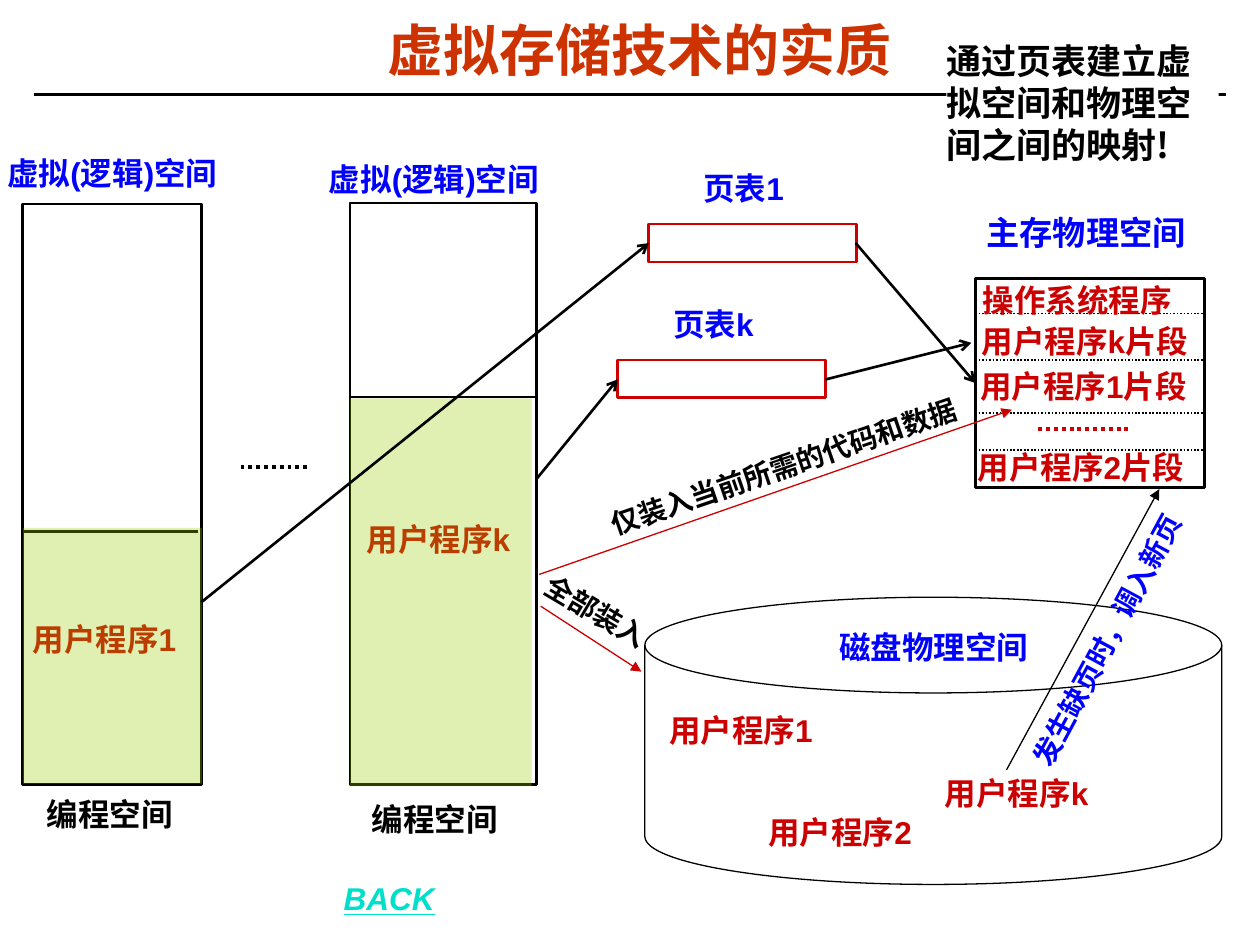
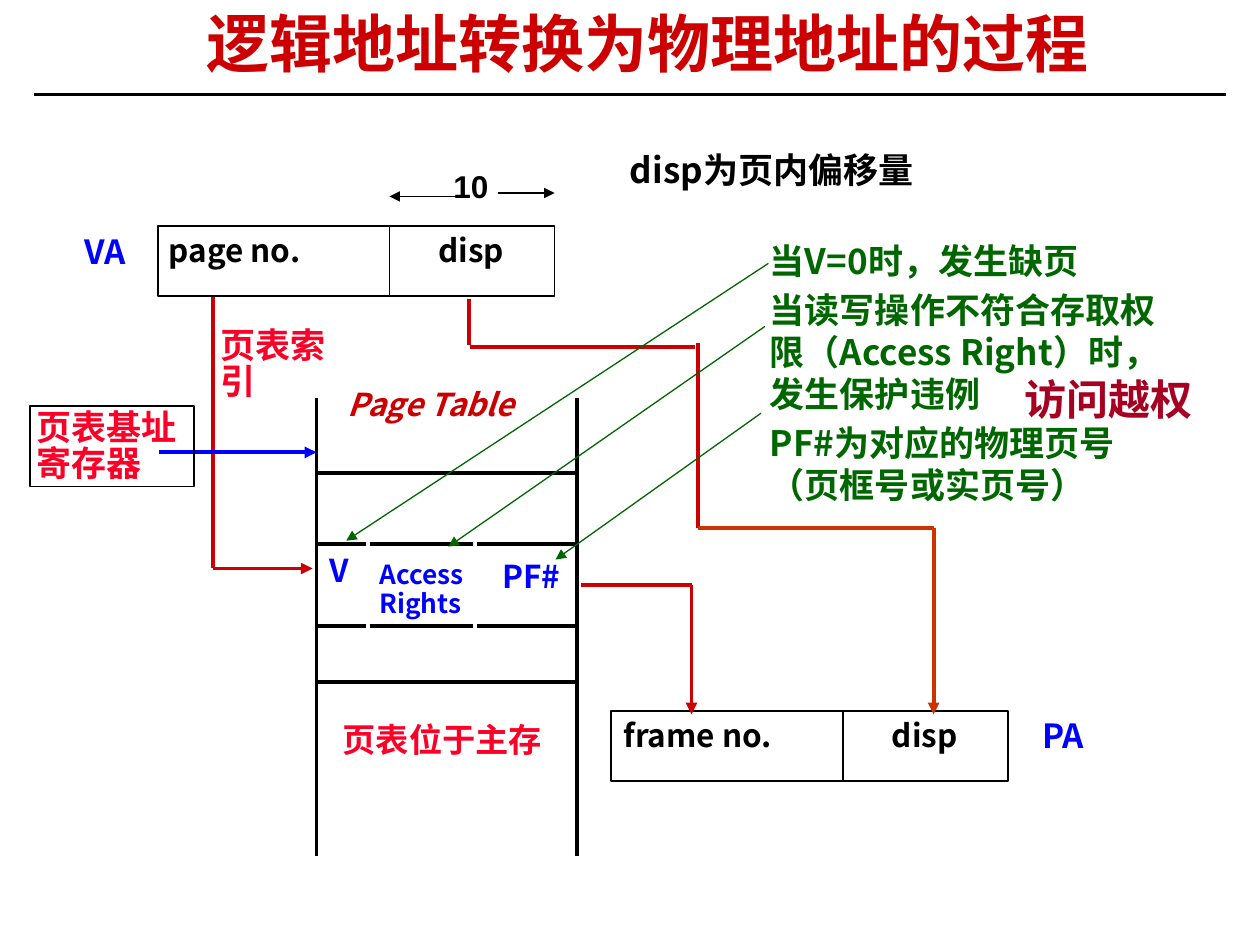
from lxml.etree import SubElement
from pptx import Presentation
from pptx.dml.color import RGBColor
from pptx.enum.dml import MSO_LINE
from pptx.enum.shapes import MSO_CONNECTOR, MSO_SHAPE
from pptx.enum.text import MSO_ANCHOR, MSO_AUTO_SIZE, PP_ALIGN
from pptx.oxml.ns import qn
from pptx.util import Cm, Pt

color = RGBColor.from_string
BLACK, WHITE, BLUE = "000000", "FFFFFF", "0000FF"
RED, BRIGHT_RED, ORANGE = "CC0000", "FC0128", "CC3300"
GREEN, LIME, CRIMSON, TURQUOISE = "006600", "99CC00", "A50021", "00DFCA"
LATIN, CHINESE = "Arial", "Noto Sans CJK SC"


def add_text(slide, text, left, top, width, ink=BLACK, size=18, font=LATIN,
             height=0.76, align=PP_ALIGN.LEFT, spacing=1.0, gap=0, turn=0,
             italic=False, underline=False, inset=0, fill=None, border=None):
    box = slide.shapes.add_textbox(Cm(left), Cm(top), Cm(width), Cm(height))
    box.rotation = turn
    if fill:
        box.fill.solid()
        box.fill.fore_color.rgb = color(fill)
    if border:
        box.line.color.rgb = color(border)
        box.line.width = Pt(1)
    frame = box.text_frame
    frame.word_wrap = True
    frame.margin_left = frame.margin_right = Cm(inset)
    frame.margin_top = frame.margin_bottom = Cm(inset)
    frame.text = text
    for index, para in enumerate(frame.paragraphs):
        para.alignment = align
        para.line_spacing = spacing
        para.space_before = Pt(gap if index else 0)
        para.font.name = font
        para.font.size = Pt(size)
        para.font.bold = True
        para.font.italic = italic
        para.font.underline = underline
        para.font.color.rgb = color(ink)


def add_line(slide, x1, y1, x2, y2, ink=BLACK, width=1.5, head=None, dotted=False):
    line = slide.shapes.add_connector(MSO_CONNECTOR.STRAIGHT,
                                      Cm(x1), Cm(y1), Cm(x2), Cm(y2))
    line.line.color.rgb = color(ink)
    line.line.width = Pt(width)
    if dotted:
        line.line.dash_style = MSO_LINE.ROUND_DOT
    properties = line._element.spPr
    if head:
        SubElement(properties.find(qn("a:ln")), qn("a:tailEnd"), type=head)
    SubElement(properties, qn("a:effectLst"))


# Deck, with the title and rule that both slides share
deck = Presentation()
deck.slide_width, deck.slide_height = Cm(25.4), Cm(19.05)
slides = []
for text, left, top, width, size, ink in [
    ("虚拟存储技术的实质", 0.66, 0.36, 24.46, 32, ORANGE),
    ("逻辑地址转换为物理地址的过程", 3.48, 0.23, 19.13, 36, RED),
]:
    slide = deck.slides.add_slide(deck.slide_layouts[5])
    add_line(slide, 0.69, 1.9, 24.71, 1.9)
    title = slide.shapes.title
    title.left, title.top, title.width, title.height = Cm(left), Cm(top), Cm(width), Cm(1.47)
    title.text_frame.text = text
    title.text_frame.auto_size = MSO_AUTO_SIZE.NONE
    title.text_frame.vertical_anchor = MSO_ANCHOR.MIDDLE
    para = title.text_frame.paragraphs[0]
    para.alignment = PP_ALIGN.CENTER
    para.line_spacing = 0.87
    para.font.name = LATIN
    para.font.size = Pt(size)
    para.font.bold = True
    para.font.color.rgb = color(ink)
    slides.append(slide)
memory_slide, address_slide = slides

# Slide 1: virtual spaces, disk, main memory and page tables
for preset, left, top, width, height, ink, weight in [
    (MSO_SHAPE.RECTANGLE, 7.06, 4.09, 3.76, 11.73, BLACK, 1.5),
    (MSO_SHAPE.RECTANGLE, 0.46, 4.11, 3.61, 11.71, BLACK, 1.5),
    (MSO_SHAPE.FLOWCHART_MAGNETIC_DISK, 13, 12.04, 11.63, 5.79, BLACK, 0.75),
    (MSO_SHAPE.RECTANGLE, 19.66, 5.61, 4.62, 4.22, BLACK, 1.5),
    (MSO_SHAPE.RECTANGLE, 13.08, 4.52, 4.19, 0.76, RED, 1.5),
    (MSO_SHAPE.RECTANGLE, 12.45, 7.26, 4.19, 0.76, RED, 1.5),
]:
    box = memory_slide.shapes.add_shape(preset, Cm(left), Cm(top), Cm(width), Cm(height))
    box.shadow.inherit = False
    box.fill.solid()
    box.fill.fore_color.rgb = color(WHITE)
    box.line.color.rgb = color(ink)
    box.line.width = Pt(weight)

# Dividers and dotted ellipses
add_line(memory_slide, 0.43, 10.72, 3.99, 10.72)
add_line(memory_slide, 7.06, 8, 10.8, 8)
add_line(memory_slide, 4.85, 9.42, 6.2, 9.42, width=2.25, dotted=True)
for y in (6.32, 7.26, 8.33, 9.07):
    add_line(memory_slide, 19.66, y, 24.26, y, width=1, dotted=True)
add_line(memory_slide, 20.93, 8.64, 22.78, 8.64, RED, 2.25, dotted=True)

# Labels
for text, left, top, width, ink in [
    ("编程空间", 7.49, 16.13, 3.12, BLACK),
    ("编程空间", 0.94, 16.03, 3.12, BLACK),
    ("虚拟(逻辑)空间", 0.15, 3.1, 5.1, BLUE),
    ("虚拟(逻辑)空间", 6.63, 3.23, 5.1, BLUE),
    ("用户程序1", 0.66, 12.5, 2.97, RED),
    ("用户程序k", 7.39, 10.49, 2.97, RED),
    ("磁盘物理空间", 16.92, 12.67, 4, BLUE),
    ("用户程序1", 13.49, 14.33, 2.97, RED),
    ("用户程序k", 19.05, 15.6, 2.97, RED),
    ("用户程序2", 15.49, 16.38, 2.97, RED),
    ("操作系统程序", 19.81, 5.66, 4.7, RED),
    ("用户程序k片段", 19.79, 6.5, 4.7, RED),
    ("用户程序1片段", 19.76, 7.39, 4.7, RED),
    ("用户程序2片段", 19.71, 9.04, 4.7, RED),
]:
    add_text(memory_slide, text, left, top, width, ink)
add_text(memory_slide, "主存物理空间", 19.89, 4.29, 5.4, BLUE, 19)
add_text(memory_slide, "通过页表建立虚拟空间和物理空间之间的映射!", 19.08, 0.79, 5.49,
         size=20, font=CHINESE, height=2.54, fill=WHITE)
add_text(memory_slide, "BACK", 6.93, 17.73, 5.23, TURQUOISE, italic=True, underline=True)
for text, left, top in [("页表1", 13.44, 3.4), ("页表k", 12.83, 6.15)]:
    add_text(memory_slide, text, left, top, 3.1, BLUE, align=PP_ALIGN.CENTER)

# Translucent program areas
for left, top, width, height in [(0.46, 10.64, 3.61, 5.16), (7.06, 8.03, 3.66, 7.82)]:
    area = memory_slide.shapes.add_shape(MSO_SHAPE.RECTANGLE, Cm(left), Cm(top),
                                         Cm(width), Cm(height))
    area.shadow.inherit = False
    area.fill.solid()
    area.fill.fore_color.rgb = color(LIME)
    area.line.fill.background()
    tint = area._element.spPr.find(qn("a:solidFill"))[0]
    SubElement(tint, qn("a:alpha"), val="30000")

# Loading arrows with slanted captions
for ends, ink, text, left, top, width, turn, text_ink in [
    ((10.87, 11.58, 20.4, 8.26), RED, "仅装入当前所需的代码和数据", 12.14, 9.04, 7.44, 341.1, BLACK),
    ((10.9, 12.22, 12.93, 13.54), RED, "全部装入", 10.87, 12.04, 2.49, 30.7, BLACK),
    ((20.29, 15.52, 23.37, 9.86), BLACK, "发生缺页时，调入新页", 19.02, 11.76, 7.44, 298.2, BLUE),
]:
    add_line(memory_slide, *ends, ink, 0.75, "triangle")
    add_text(memory_slide, text, left, top, width, text_ink, 16, height=0.69, turn=turn)

# Mapping arrows through the page tables
for ends in [(17.25, 4.9, 19.66, 7.72), (4.06, 12.14, 13.08, 4.9),
             (16.64, 7.65, 19.58, 6.91), (10.82, 9.65, 12.45, 7.65)]:
    add_line(memory_slide, *ends, head="arrow")

# Slide 2: virtual and physical address fields
for left, top, divider in [(3.18, 4.55, 7.85), (12.32, 14.33, 16.99)]:
    field = address_slide.shapes.add_shape(MSO_SHAPE.RECTANGLE, Cm(left), Cm(top),
                                           Cm(8), Cm(1.42))
    field.shadow.inherit = False
    field.fill.background()
    field.line.color.rgb = color(BLACK)
    field.line.width = Pt(1)
    add_line(address_slide, divider, top, divider, top + 1.42, width=1)
add_line(address_slide, 10.03, 3.89, 11.18, 3.89, width=1, head="triangle")
add_line(address_slide, 9.19, 3.96, 7.85, 3.96, width=1, head="triangle")

# Page table grid
for x in (6.38, 11.63):
    add_line(address_slide, x, 8.03, x, 17.26, width=2.25)
for y in (9.53, 10.97, 12.62, 13.74):
    add_line(address_slide, 6.4, y, 11.61, y, width=2.25)
for x in (7.42, 9.58):
    add_line(address_slide, x, 9.58, x, 13.54, WHITE, 2.25)

# Address paths: index, base register, displacement and frame number
for x1, y1, x2, y2, ink, head in [
    (4.29, 5.99, 4.29, 11.46, RED, None),
    (4.29, 11.46, 6.3, 11.46, RED, "triangle"),
    (3.2, 9.12, 6.38, 9.12, BLUE, "triangle"),
    (9.45, 6.02, 9.45, 6.96, RED, None),
    (9.47, 6.99, 14.02, 6.99, RED, None),
    (14.07, 6.91, 14.07, 10.64, RED, None),
    (14.07, 10.64, 18.82, 10.64, ORANGE, None),
    (18.82, 10.64, 18.82, 14.4, ORANGE, "triangle"),
    (11.71, 11.79, 13.94, 11.79, RED, None),
    (13.94, 11.79, 13.94, 14.4, RED, "triangle"),
]:
    add_line(address_slide, x1, y1, x2, y2, ink, 2.25, head)

# Labels
for text, left, top, width, ink, size, font in [
    ("VA", 1.7, 4.78, 1.3, BLUE, 19, CHINESE),
    ("page no.", 3.4, 4.78, 3.5, BLACK, 18, CHINESE),
    ("disp", 8.84, 4.78, 2, BLACK, 18, CHINESE),
    ("10", 9.14, 3.48, 1.2, BLACK, 18, LATIN),
    ("页表索引", 4.45, 6.65, 2.6, BRIGHT_RED, 20, LATIN),
    ("V", 6.65, 11.23, 0.8, BLUE, 18, CHINESE),
    ("PF#", 10.13, 11.35, 1.5, BLUE, 18, CHINESE),
    ("页表位于主存", 6.91, 14.63, 4.4, BRIGHT_RED, 19, LATIN),
    ("frame no.", 12.57, 14.55, 4, BLACK, 18, CHINESE),
    ("disp", 17.98, 14.55, 2, BLACK, 18, CHINESE),
    ("PA", 21.01, 14.55, 1.3, BLUE, 19, CHINESE),
]:
    add_text(address_slide, text, left, top, width, ink, size, font, spacing=0.85)
add_text(address_slide, "Page Table", 7.01, 7.87, 4.2, RED, font=CHINESE,
         spacing=0.85, italic=True)
add_text(address_slide, "Access\nRights", 7.65, 11.33, 2, BLUE, 15, CHINESE,
         height=1.2, spacing=0.9)
add_text(address_slide, "页表基址寄存器", 0.61, 8.18, 3.3, BRIGHT_RED, 20,
         height=1.63, spacing=0.85, inset=0.13, border=BLACK)

# Notes on the page table entry and their pointers
entry_notes = [
    "当V=0时，发生缺页",
    "当读写操作不符合存取权限（Access Right）时，发生保护违例",
    "PF#为对应的物理页号（页框号或实页号）",
]
add_text(address_slide, "\n".join(entry_notes), 15.52, 4.83, 8.15, GREEN, 20, CHINESE,
         height=5.41, gap=4)
for ends in [(15.49, 5.31, 6.98, 10.9), (15.42, 6.58, 9.04, 11.02),
             (15.34, 8.33, 11.2, 11.28)]:
    add_line(address_slide, *ends, GREEN, 0.75, "triangle")
add_text(address_slide, "disp为页内偏移量", 12.7, 3, 5.8, size=20, font=CHINESE)
add_text(address_slide, "访问越权", 20.65, 7.54, 4, CRIMSON, 24, CHINESE)

deck.save("out.pptx")
